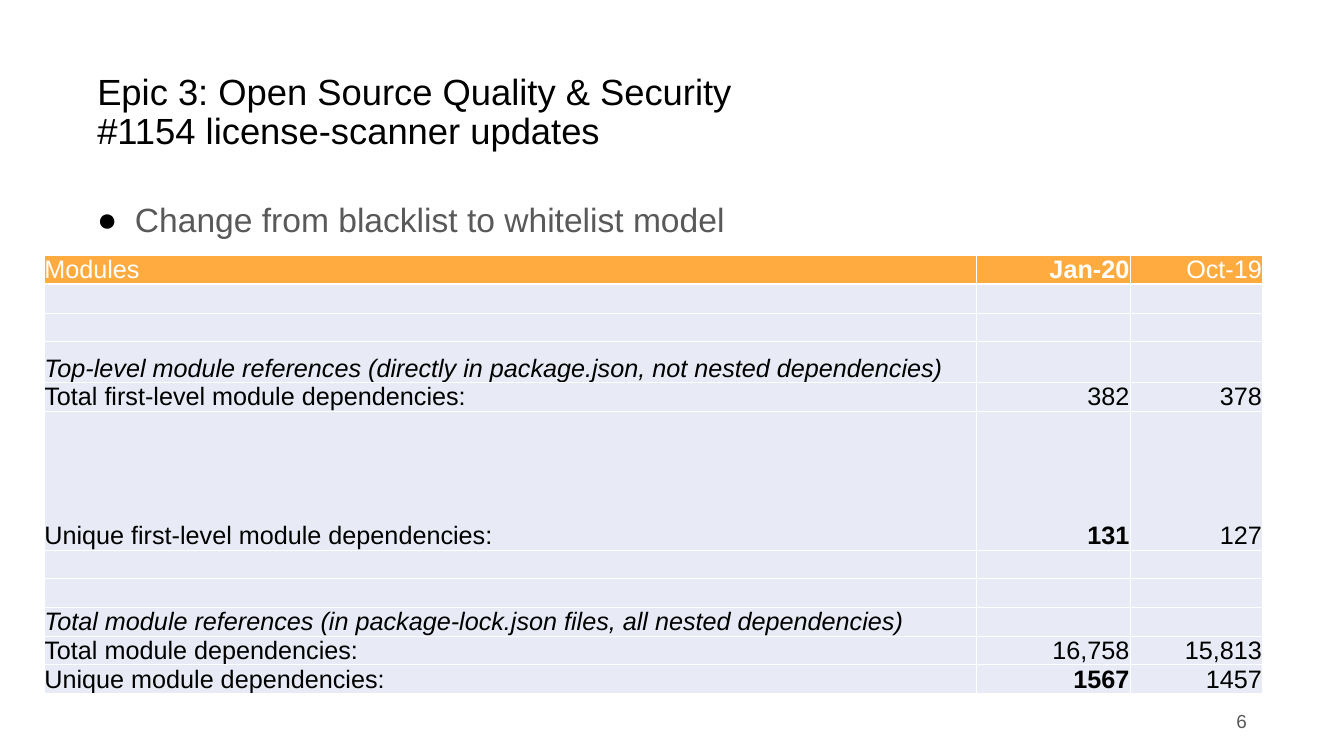
"""Build the license-scanner updates slide with its module dependency table."""
from dataclasses import dataclass

from lxml import etree
from pptx import Presentation
from pptx.dml.color import RGBColor
from pptx.enum.text import MSO_ANCHOR, MSO_AUTO_SIZE, PP_ALIGN
from pptx.oxml.ns import qn
from pptx.slide import Slide
from pptx.table import _Cell
from pptx.text.text import TextFrame, _Paragraph
from pptx.util import Pt

PX = 9144
FONT = "Arial"
LEFT, RIGHT = PP_ALIGN.LEFT, PP_ALIGN.RIGHT
TOP, MIDDLE, BOTTOM = MSO_ANCHOR.TOP, MSO_ANCHOR.MIDDLE, MSO_ANCHOR.BOTTOM
NO_AUTOFIT = MSO_AUTO_SIZE.NONE
BLACK = RGBColor(0x00, 0x00, 0x00)
WHITE = RGBColor(0xFF, 0xFF, 0xFF)
GRAY = RGBColor(0x59, 0x59, 0x59)
ORANGE = RGBColor(0xFF, 0xAB, 0x40)
LAVENDER = RGBColor(0xE8, 0xEB, 0xF5)


@dataclass(frozen=True)
class Box:
    left: int
    top: int
    width: int
    height: int

    def emu(self) -> tuple[int, int, int, int]:
        return self.left * PX, self.top * PX, self.width * PX, self.height * PX


@dataclass(frozen=True)
class Style:
    size: int
    color: RGBColor
    align: PP_ALIGN = LEFT
    bold: bool = False
    italic: bool = False


@dataclass(frozen=True)
class ModuleRow:
    label: str = ""
    january: str = ""
    october: str = ""
    height: int = 57
    italic: bool = False
    bold_january: bool = False


TITLE_BOX = Box(183, 80, 2300, 290)
BODY_BOX = Box(183, 399, 2300, 952)
NUMBER_BOX = Box(1884, 1390, 600, 80)
TABLE_LEFT, TABLE_TOP = 87, 507
COLUMN_WIDTHS = (1851, 304, 263)
BULLET_INDENT = 75

ROWS = (
    ModuleRow("Modules", "Jan-20", "Oct-19", bold_january=True),
    ModuleRow(),
    ModuleRow(),
    ModuleRow("Top-level module references (directly in package.json, not nested dependencies)",
              height=81, italic=True),
    ModuleRow("Total first-level module dependencies:", "382", "378"),
    ModuleRow("Unique first-level module dependencies:", "131", "127",
              height=275, bold_january=True),
    ModuleRow(),
    ModuleRow(),
    ModuleRow("Total module references (in package-lock.json files, all nested dependencies)",
              italic=True),
    ModuleRow("Total module dependencies:", "16,758", "15,813"),
    ModuleRow("Unique module dependencies:", "1567", "1457", bold_january=True),
)


def format_paragraph(paragraph: _Paragraph, style: Style) -> None:
    paragraph.alignment = style.align
    for run in paragraph.runs:
        run.font.name = FONT
        run.font.size = Pt(style.size)
        run.font.bold = style.bold
        run.font.italic = style.italic
        run.font.color.rgb = style.color


def fill_frame(frame: TextFrame, text: str, style: Style, anchor: MSO_ANCHOR) -> _Paragraph:
    frame.text = text
    frame.word_wrap = True
    frame.auto_size = NO_AUTOFIT
    frame.vertical_anchor = anchor
    frame.margin_left = frame.margin_right = 10 * PX
    frame.margin_top = frame.margin_bottom = 5 * PX
    paragraph = frame.paragraphs[0]
    format_paragraph(paragraph, style)
    return paragraph


def add_title(slide: Slide, text: str) -> None:
    title = slide.shapes.title
    title.left, title.top, title.width, title.height = TITLE_BOX.emu()
    paragraph = fill_frame(title.text_frame, text, Style(52, BLACK), MIDDLE)
    paragraph.line_spacing = 0.9
    paragraph.space_before = Pt(0)


def add_text(slide: Slide, box: Box, text: str, style: Style, anchor: MSO_ANCHOR) -> _Paragraph:
    shape = slide.shapes.add_textbox(*box.emu())
    return fill_frame(shape.text_frame, text, style, anchor)


def add_bullet(paragraph: _Paragraph, color: RGBColor) -> None:
    properties = paragraph._p.get_or_add_pPr()
    properties.set("marL", str(BULLET_INDENT * PX))
    properties.set("indent", str(-BULLET_INDENT * PX))
    bullet_color = etree.SubElement(properties, qn("a:buClr"))
    etree.SubElement(bullet_color, qn("a:srgbClr"), val=str(color))
    etree.SubElement(properties, qn("a:buFont"), typeface=FONT)
    etree.SubElement(properties, qn("a:buChar"), char="●")


def set_borders(cell: _Cell, top: int, bottom: int) -> None:
    properties = cell._tc.get_or_add_tcPr()
    sides = (("L", 1), ("R", 1), ("T", top), ("B", bottom))
    for index, (side, width) in enumerate(sides):
        line = etree.Element(qn(f"a:ln{side}"), w=str(Pt(width)))
        fill = etree.SubElement(line, qn("a:solidFill"))
        etree.SubElement(fill, qn("a:srgbClr"), val=str(WHITE))
        properties.insert(index, line)


def fill_cell(cell: _Cell, text: str, style: Style, fill: RGBColor) -> None:
    cell.fill.solid()
    cell.fill.fore_color.rgb = fill
    cell.vertical_anchor = BOTTOM
    cell.margin_left = cell.margin_right = cell.margin_top = PX
    cell.margin_bottom = 0
    if text:
        cell.text_frame.text = text
        format_paragraph(cell.text_frame.paragraphs[0], style)


def add_module_table(slide: Slide) -> None:
    box = Box(TABLE_LEFT, TABLE_TOP, sum(COLUMN_WIDTHS), sum(row.height for row in ROWS))
    table = slide.shapes.add_table(len(ROWS), len(COLUMN_WIDTHS), *box.emu()).table
    for column, width in zip(table.columns, COLUMN_WIDTHS):
        column.width = width * PX
    for row_index, row in enumerate(ROWS):
        header = row_index == 0
        color, fill = (WHITE, ORANGE) if header else (BLACK, LAVENDER)
        table.rows[row_index].height = row.height * PX
        entries = (
            (row.label, Style(36, color, italic=row.italic)),
            (row.january, Style(36, color, RIGHT, bold=row.bold_january)),
            (row.october, Style(36, color, RIGHT)),
        )
        for column_index, (text, style) in enumerate(entries):
            cell = table.cell(row_index, column_index)
            fill_cell(cell, text, style, fill)
            set_borders(cell, top=3 if row_index == 1 else 1, bottom=3 if header else 1)


def main() -> None:
    presentation = Presentation()
    presentation.slide_width = 2667 * PX
    presentation.slide_height = 1500 * PX
    slide = presentation.slides.add_slide(presentation.slide_layouts[5])
    add_title(slide, "Epic 3: Open Source Quality & Security\v#1154 license-scanner updates")
    body = add_text(slide, BODY_BOX, "Change from blacklist to whitelist model",
                    Style(48, GRAY), TOP)
    add_bullet(body, BLACK)
    body.line_spacing = 0.9
    add_text(slide, NUMBER_BOX, "6", Style(27, GRAY, RIGHT), MIDDLE)
    add_module_table(slide)
    presentation.save("out.pptx")


if __name__ == "__main__":
    main()
